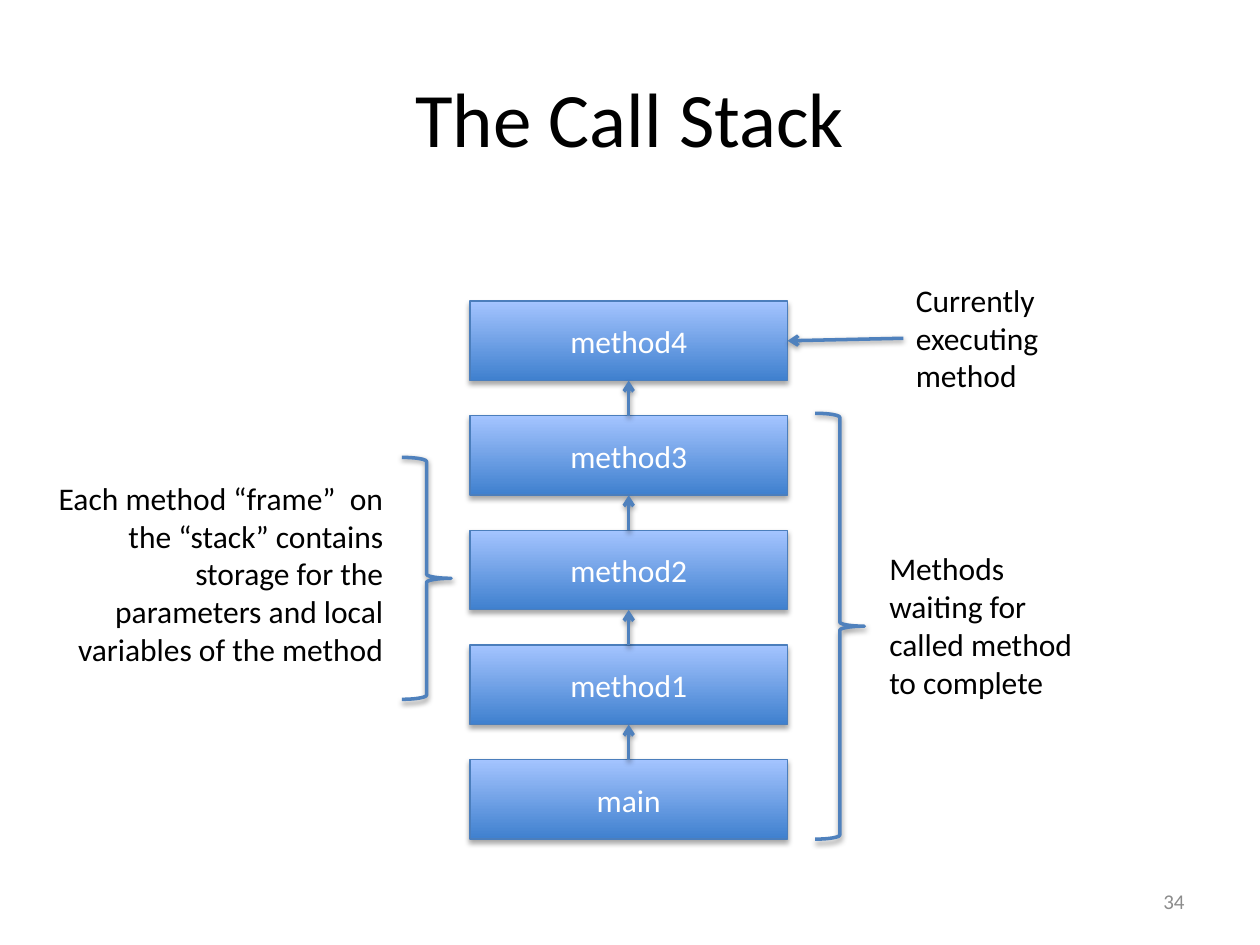
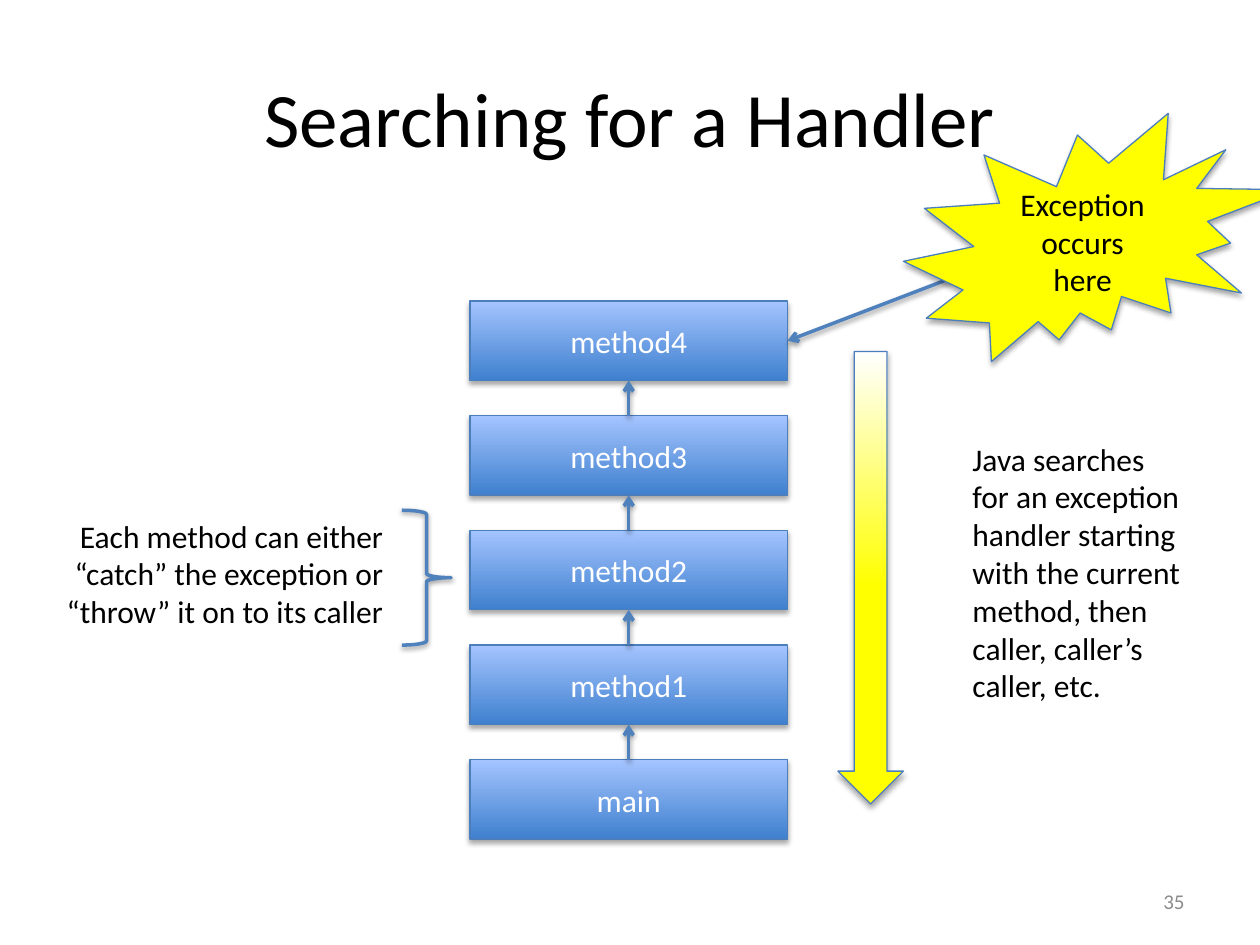
from collections import namedtuple
from dataclasses import dataclass
from itertools import pairwise

from lxml import etree
from pptx import Presentation
from pptx import util as u
from pptx.dml.color import RGBColor
from pptx.enum import shapes, text
from pptx.oxml.ns import qn

# Grid: 100 columns by 75 rows of square cells
COLS, ROWS = 100, 75
CELL = u.Inches(0.1)
Box = namedtuple("Box", "x y w h")
MSO, ALIGN = shapes.MSO_SHAPE, text.PP_ALIGN


@dataclass(frozen=True)
class Theme:
    font: str = "Calibri"
    title_size: int = 44
    body_size: int = 18
    number_size: int = 12
    ink: str = "000000"
    paper: str = "FFFFFF"
    grey: str = "8C8C8C"
    frame_dark: str = "3F80CE"
    frame_light: str = "A4C4FF"
    outline: str = "4B7EBC"
    accent: str = "4F81BD"
    alert: str = "FFFF00"
    thin: float = 0.75
    thick: float = 2


T = Theme()
TITLE = Box(5, 3, 90, 12.5)
NUMBER = Box(71.7, 69.5, 23.3, 4)
STACK = Box(37.3, 23.9, 25.2, 42.7)
FRAMES = ["method4", "method3", "method2", "method1", "main"]
GAP = 4 / 9  # gap between frames, as a share of a frame's height


def emu(*cells):
    return [round(c * CELL) for c in cells]


def rgb(color):
    return RGBColor.from_string(color)


# Formatting helpers
def write(sp, words, size=T.body_size, color=T.ink, align=ALIGN.CENTER,
          anchor=text.MSO_ANCHOR.MIDDLE):
    tf = sp.text_frame
    tf.text = words
    tf.word_wrap = True
    tf.vertical_anchor = anchor
    p = tf.paragraphs[0]
    p.alignment = align
    font = p.runs[0].font
    font.name, font.size = T.font, u.Pt(size)
    font.color.rgb = rgb(color)


def add_shadow(sp, opacity, distance):
    sp_pr = sp._element.spPr
    effects = sp_pr.find(qn("a:effectLst"))
    if effects is None:
        effects = etree.SubElement(sp_pr, qn("a:effectLst"))
    shadow = etree.SubElement(effects, qn("a:outerShdw"), blurRad=str(u.Pt(3.1)),
                              dist=str(u.Pt(distance)), dir="5400000",
                              rotWithShape="0")
    color = etree.SubElement(shadow, qn("a:srgbClr"), val=T.ink)
    etree.SubElement(color, qn("a:alpha"), val=str(opacity * 1000))


def set_line(sp, color, width):
    sp.line.color.rgb = rgb(color)
    sp.line.width = u.Pt(width)


def fill_upward(sp, bottom, top, start=0):
    sp.fill.gradient()
    sp.fill.gradient_angle = 90
    for stop, color, position in zip(sp.fill.gradient_stops, (bottom, top), (start, 1)):
        stop.color.rgb = rgb(color)
        stop.position = position


# Building blocks
def add_block(s, kind, box):
    sp = s.shapes.add_shape(kind, *emu(*box))
    sp.shadow.inherit = False
    set_line(sp, T.outline, T.thin)
    add_shadow(sp, 35, 1.8)
    return sp


def add_brace(s, box):
    sp = s.shapes.add_shape(MSO.RIGHT_BRACE, *emu(*box))
    sp.shadow.inherit = False
    sp.fill.background()
    set_line(sp, T.accent, T.thick)
    add_shadow(sp, 38, 1.6)


def add_caption(s, words, box, align=ALIGN.LEFT):
    sp = s.shapes.add_textbox(*emu(*box))
    write(sp, words, align=align, anchor=text.MSO_ANCHOR.TOP)
    sp.text_frame.auto_size = text.MSO_AUTO_SIZE.SHAPE_TO_FIT_TEXT
    return sp


def add_arrow(s, target, side, source=None, source_side=0, start=(0, 0)):
    """Arrow to a side of target, from a side of source or from a grid point."""
    x, y = emu(*start)
    line = s.shapes.add_connector(shapes.MSO_CONNECTOR.STRAIGHT, x, y, x, y)
    if source is not None:
        line.begin_connect(source, source_side)
    line.end_connect(target, side)
    set_line(line, T.accent, T.thick)
    etree.SubElement(line.line._get_or_add_ln(), qn("a:tailEnd"), type="arrow")
    add_shadow(line, 38, 1.6)


# Regions
def add_stack(s, box):
    """Call frames from main upwards; returns the top one."""
    count = len(FRAMES)
    height = box.h / (count + (count - 1) * GAP)
    pitch = height * (1 + GAP)
    frames = []
    for row, name in reversed(list(enumerate(FRAMES))):
        sp = add_block(s, MSO.RECTANGLE, Box(box.x, box.y + row * pitch, box.w, height))
        fill_upward(sp, T.frame_dark, T.frame_light)
        write(sp, name, color=T.paper)
        frames.append(sp)
    for caller, called in pairwise(frames):
        add_arrow(s, called, 2, caller, 0)
    return frames[-1]


def add_left_note(s, words, brace, caption):
    """Right-aligned note left of the stack, with a brace pointing at it."""
    edge = STACK.x - 5.4
    add_brace(s, Box(edge, brace[0], 3.9, brace[1]))
    add_caption(s, words, Box(2.4, caption[0], edge - 2.9, caption[1]), ALIGN.RIGHT)


def add_base(prs, title, number):
    """Title, page number and stack shared by both slides."""
    s = prs.slides.add_slide(prs.slide_layouts[5])
    sp = s.shapes.title
    sp.left, sp.top, sp.width, sp.height = emu(*TITLE)
    write(sp, title, T.title_size)
    sp = s.shapes.add_textbox(*emu(*NUMBER))
    write(sp, str(number), T.number_size, T.grey, ALIGN.RIGHT)
    return s, add_stack(s, STACK)


# Slides
def call_stack_slide(prs):
    s, top = add_base(prs, "The Call Stack", 34)
    add_left_note(s, "Each method “frame”  on the “stack” contains storage for the "
                  "parameters and local variables of the method",
                  (36.3, 19.2), (37.5, 16.2))
    current = add_caption(s, "Currently executing method", Box(71.7, 21.8, 15.2, 10.1))
    add_arrow(s, top, 3, current, 1)
    add_caption(s, "Methods waiting for called method to complete",
                Box(69.6, 43.1, 18.7, 13.1))
    add_brace(s, Box(64.7, 32.8, 3.9, 33.8))


def handler_slide(prs):
    s, top = add_base(prs, "Searching for a Handler", 35)
    add_left_note(s, "Each method can either “catch” the exception or “throw” it on "
                  "to its caller", (40.5, 10.7), (40.5, 10.1))
    add_arrow(s, top, 3, start=(76.2, 21.8))
    add_caption(s, "Java searches for an exception handler starting with the current "
                "method, then caller, caller’s caller, etc.",
                Box(76.2, 34.4, 18.7, 22.2))
    # Search direction
    search = add_block(s, MSO.DOWN_ARROW, Box(66.5, 27.9, 5.2, 35.9))
    fill_upward(search, T.alert, T.paper, start=0.48)
    # Exception burst
    burst = add_block(s, MSO.EXPLOSION2, Box(71.7, 9, 30.7, 19.7))
    burst.fill.solid()
    burst.fill.fore_color.rgb = rgb(T.alert)
    write(burst, "Exception occurs here")


def main():
    prs = Presentation()
    prs.slide_width, prs.slide_height = emu(COLS, ROWS)
    call_stack_slide(prs)
    handler_slide(prs)
    prs.save("out.pptx")


if __name__ == "__main__":
    main()
